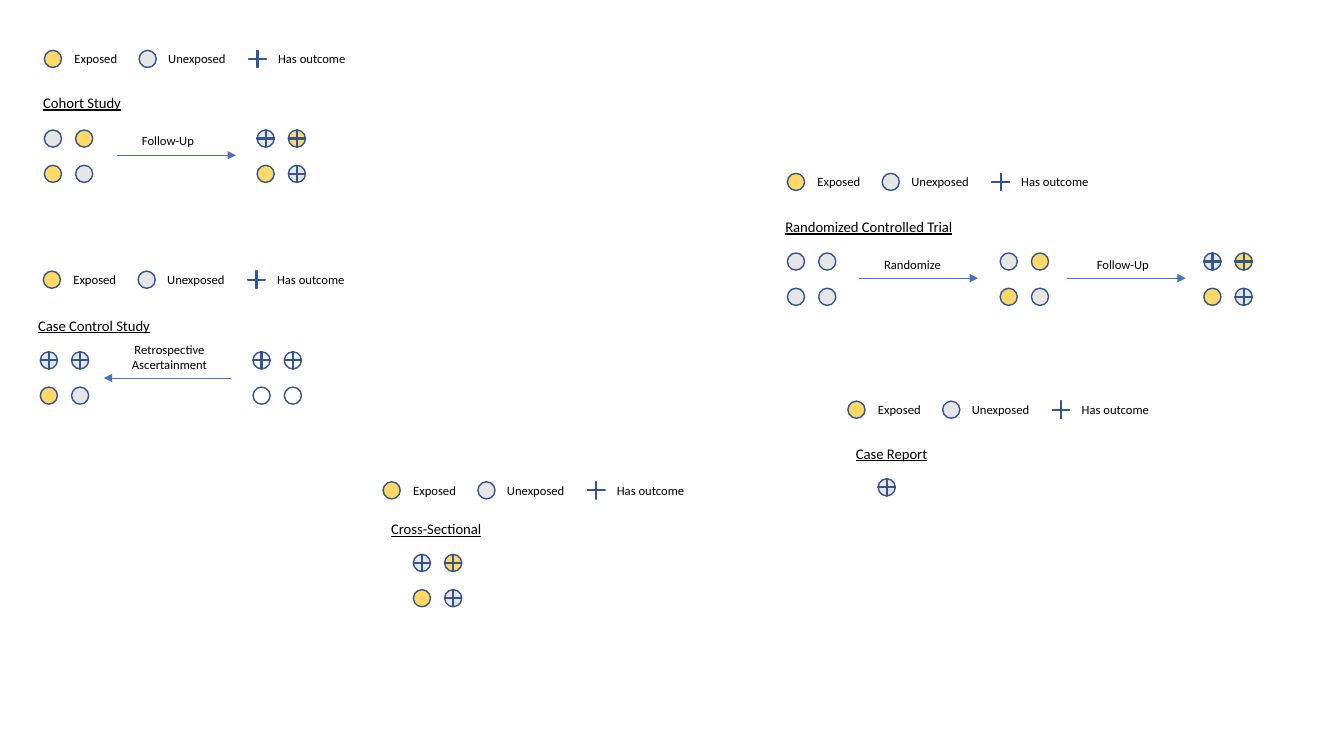
"""Build a slide that compares epidemiological study designs."""
from dataclasses import dataclass

from lxml import etree
from pptx import Presentation
from pptx.dml.color import RGBColor
from pptx.enum.shapes import MSO_CONNECTOR, MSO_SHAPE
from pptx.enum.text import MSO_AUTO_SIZE, PP_ALIGN
from pptx.oxml.ns import qn
from pptx.shapes.shapetree import GroupShapes
from pptx.util import Inches, Pt

OVAL, PLUS = MSO_SHAPE.OVAL, MSO_SHAPE.CROSS
STRAIGHT = MSO_CONNECTOR.STRAIGHT
FIT_SHAPE = MSO_AUTO_SIZE.SHAPE_TO_FIT_TEXT
CENTER = PP_ALIGN.CENTER

BLUE, OUTLINE, BLACK = "4472C4", "325491", "000000"
FILLS = {"E": "FFD966", "U": "E7E6E6", "O": None}
MARK = 0.17
COLUMN_STEP, ROW_STEP = 0.31, 0.35


@dataclass
class Label:
    text: str
    x: float
    y: float
    width: float
    height: float = 0.25
    size: float = 9
    underline: bool = False
    wrap: bool = False


@dataclass
class Subjects:
    """People row by row: E exposed, U unexposed, O unknown, + has outcome."""
    x: float
    y: float
    people: str


@dataclass
class Arrow:
    start: float
    end: float
    y: float
    label: Label


@dataclass
class Study:
    title: Label
    legend_x: float
    legend_y: float
    subjects: list[Subjects]
    arrows: list[Arrow]


def title(text: str, x: float, y: float, width: float) -> Label:
    return Label(text, x, y, width, 0.28, 10.5, True)


STUDIES = [
    Study(title("Cohort Study", 0.33, 0.88, 0.98), 0.44, 0.5,
          [Subjects(0.44, 1.29, "U E E U"), Subjects(2.55, 1.29, "U+ E+ E U+")],
          [Arrow(1.16, 2.34, 1.54, Label("Follow-Up", 1.31, 1.27, 0.73))]),
    Study(title("Case Control Study", 0.28, 3.09, 1.33), 0.43, 2.69,
          [Subjects(0.4, 3.49, "U+ U+ E U"), Subjects(2.51, 3.49, "O+ O+ O O")],
          [Arrow(2.29, 1.03, 3.75, Label("Retrospective Ascertainment",
                                         1.09, 3.34, 1.18, 0.4, wrap=True))]),
    Study(title("Cross-Sectional", 3.78, 5.11, 1.12), 3.8, 4.78,
          [Subjects(4.1, 5.5, "U+ E+ E U+")], []),
    Study(title("Randomized Controlled Trial", 7.69, 2.11, 1.9), 7.81, 1.72,
          [Subjects(7.81, 2.51, "U U U U"), Subjects(9.92, 2.51, "U E E U"),
           Subjects(11.94, 2.51, "U+ E+ E U+")],
          [Arrow(8.52, 9.7, 2.76, Label("Randomize", 8.67, 2.5, 0.77)),
           Arrow(10.58, 11.76, 2.76, Label("Follow-Up", 10.78, 2.5, 0.73))]),
    Study(title("Case Report", 8.39, 4.36, 0.92), 8.41, 3.98,
          [Subjects(8.71, 4.75, "U+")], []),
]


def rgb(color: str) -> RGBColor:
    return RGBColor.from_string(color)


def add_mark(shapes: GroupShapes, kind: MSO_SHAPE, x: float, y: float,
             fill: str | None) -> None:
    sp = shapes.add_shape(kind, Inches(x), Inches(y), Inches(MARK), Inches(MARK))
    sp.shadow.inherit = False
    if kind == PLUS:
        sp.adjustments[0] = 0.475
    if fill:
        sp.fill.solid()
        sp.fill.fore_color.rgb = rgb(fill)
    else:
        sp.fill.background()
    sp.line.color.rgb = rgb(OUTLINE)
    sp.line.width = Pt(1)


def add_person(shapes: GroupShapes, x: float, y: float, code: str) -> None:
    add_mark(shapes, OVAL, x, y, FILLS[code[0]])
    if code.endswith("+"):
        add_mark(shapes, PLUS, x, y, BLUE)


def add_subjects(shapes: GroupShapes, subjects: Subjects) -> None:
    for i, code in enumerate(subjects.people.split()):
        row, column = divmod(i, 2)
        add_person(shapes, subjects.x + column * COLUMN_STEP,
                   subjects.y + row * ROW_STEP, code)


def add_label(shapes: GroupShapes, label: Label) -> None:
    tb = shapes.add_textbox(Inches(label.x), Inches(label.y),
                            Inches(label.width), Inches(label.height))
    tf = tb.text_frame
    tf.word_wrap = label.wrap
    tf.auto_size = FIT_SHAPE
    p = tf.paragraphs[0]
    p.text = label.text
    if label.wrap:
        p.alignment = CENTER
    p.font.name = "Calibri"
    p.font.size = Pt(label.size)
    p.font.underline = label.underline
    p.font.color.rgb = rgb(BLACK)


def add_arrow(shapes: GroupShapes, arrow: Arrow) -> None:
    cxn = shapes.add_connector(STRAIGHT, Inches(arrow.start), Inches(arrow.y),
                               Inches(arrow.end), Inches(arrow.y))
    cxn.line.color.rgb = rgb(BLUE)
    cxn.line.width = Pt(0.5)
    etree.SubElement(cxn.line._get_or_add_ln(), qn("a:tailEnd"), type="triangle")
    etree.SubElement(cxn._element.spPr, qn("a:effectLst"))
    add_label(shapes, arrow.label)


def add_legend(shapes: GroupShapes, x: float, y: float) -> None:
    add_person(shapes, x, y, "E")
    add_person(shapes, x + 0.94, y, "U")
    add_mark(shapes, PLUS, x + 2.03, y, BLUE)
    for text, offset, width in (("Exposed", 0.2, 0.63), ("Unexposed", 1.13, 0.78),
                                ("Has outcome", 2.22, 0.88)):
        add_label(shapes, Label(text, x + offset, y - 0.04, width))


def add_study(shapes: GroupShapes, study: Study) -> None:
    add_legend(shapes, study.legend_x, study.legend_y)
    add_label(shapes, study.title)
    for subjects in study.subjects:
        add_subjects(shapes, subjects)
    for arrow in study.arrows:
        add_arrow(shapes, arrow)


def main() -> None:
    prs = Presentation()
    prs.slide_width, prs.slide_height = Inches(13.33), Inches(7.5)
    s = prs.slides.add_slide(prs.slide_layouts[6])
    for study in STUDIES:
        add_study(s.shapes.add_group_shape().shapes, study)
    prs.save("out.pptx")


if __name__ == "__main__":
    main()
